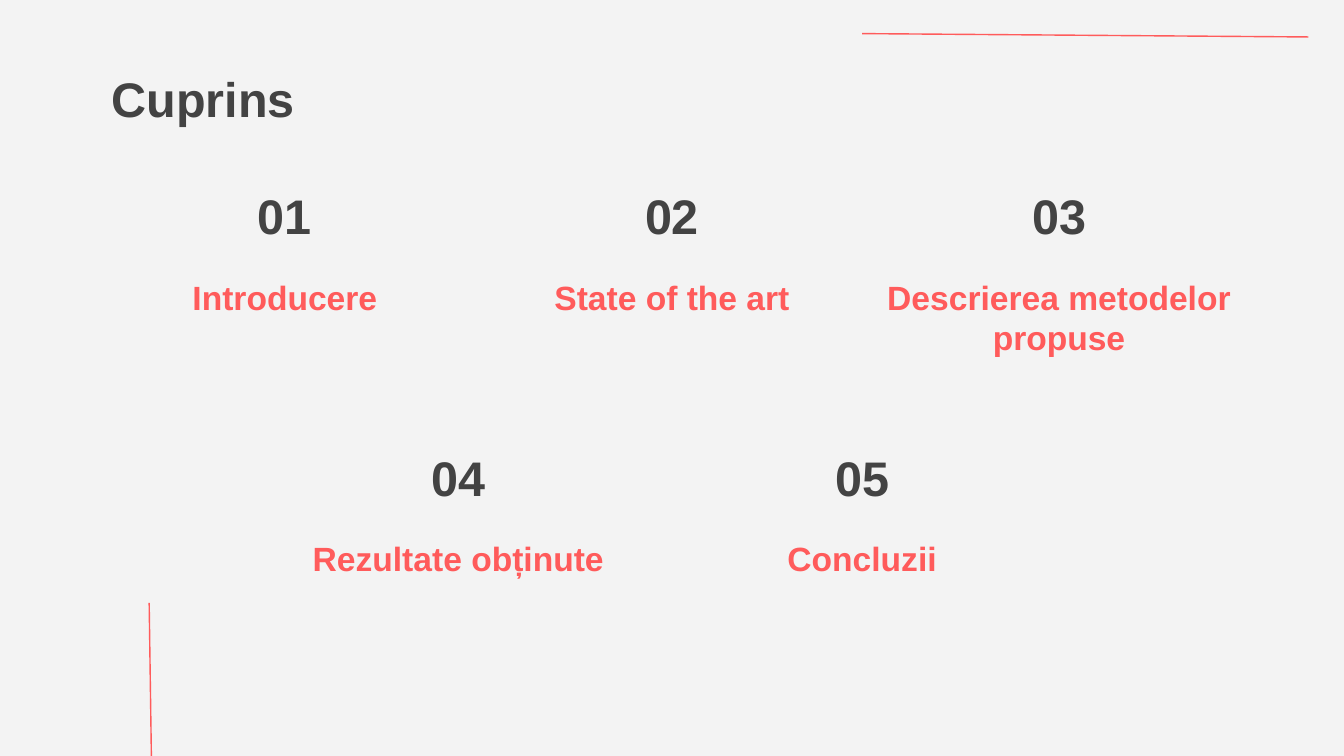
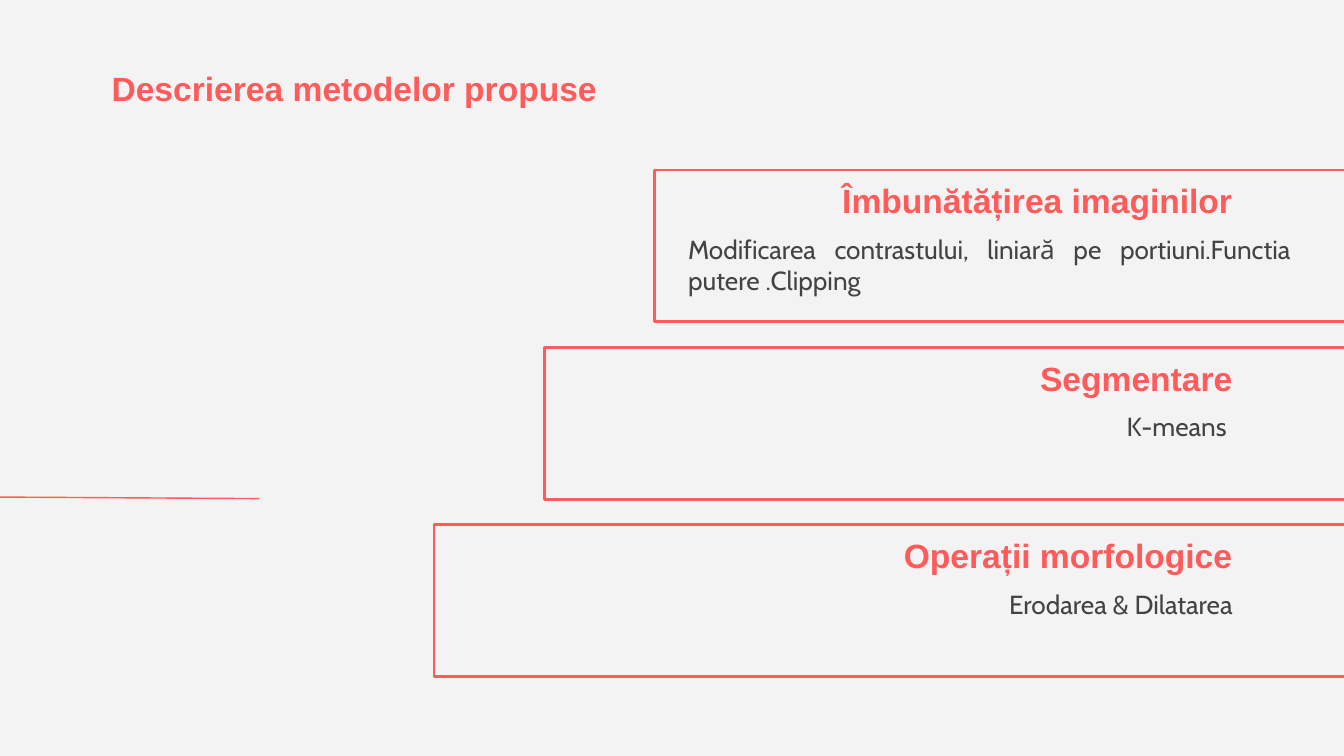
from lxml import etree
from pptx import Presentation
from pptx import util as u
from pptx.dml.color import RGBColor
from pptx.enum import shapes, text
from pptx.oxml.ns import qn

# Content
AGENDA_TITLE = "Cuprins"
AGENDA_ROWS = [
    ["Introducere", "State of the art", "Descrierea metodelor propuse"],
    ["Rezultate obținute", "Concluzii"],
]
METHODS_TITLE = "Descrierea metodelor propuse"
METHODS = [
    ("Îmbunătățirea imaginilor",
     "Modificarea contrastului, liniară pe portiuni.Functia putere .Clipping"),
    ("Segmentare", "K-means "),
    ("Operații morfologice", "Erodarea & Dilatarea"),
]

# Shared look
WIDTH, HEIGHT = 20, 11.25
MARGIN = 1.66
PAPER, INK, CORAL = "F3F3F3", "434343", "FF5B5B"
# style: font, size, colour, bold
DISPLAY = ("Arial", 52, INK, True)
HEADING = ("Arial", 36, CORAL, True)
DETAIL = ("Cabin", 28, INK, False)
LEFT, CENTER, RIGHT, JUSTIFY = (text.PP_ALIGN.LEFT, text.PP_ALIGN.CENTER,
                                text.PP_ALIGN.RIGHT, text.PP_ALIGN.JUSTIFY)


def color(hex_code):
    return RGBColor.from_string(hex_code)


def place(shape, left, top, width, height):
    shape.left, shape.top = u.Inches(left), u.Inches(top)
    shape.width, shape.height = u.Inches(width), u.Inches(height)


def write(shape, words, style, align):
    font_name, size, ink, bold = style
    frame = shape.text_frame
    frame.text = words
    frame.word_wrap = True
    frame.auto_size = text.MSO_AUTO_SIZE.NONE
    frame.vertical_anchor = text.MSO_ANCHOR.TOP
    frame.margin_left = frame.margin_right = 0
    frame.margin_top = frame.margin_bottom = 0
    paragraph = frame.paragraphs[0]
    paragraph.alignment = align
    paragraph.space_before = u.Pt(0)
    paragraph.line_spacing = u.Pt(size * 1.2)
    font = paragraph.font
    font.name, font.size, font.bold = font_name, u.Pt(size), bold
    font.color.rgb = color(ink)


def add_text(slide, words, box, style, align):
    write(slide.shapes.add_textbox(*map(u.Inches, box)), words, style, align)


def add_rule(slide, *ends):
    rule = slide.shapes.add_connector(shapes.MSO_CONNECTOR.STRAIGHT, *map(u.Inches, ends))
    rule.line.color.rgb = color(CORAL)
    rule.line.width = u.Pt(1.5)
    etree.SubElement(rule._element.spPr, qn("a:effectLst"))


def add_titled_slide(deck, title, box, style):
    slide = deck.slides.add_slide(deck.slide_layouts.get_by_name("Title Only"))
    place(slide.shapes.title, *box)
    write(slide.shapes.title, title, style, LEFT)
    return slide


def build_agenda(deck):
    slide = add_titled_slide(deck, AGENDA_TITLE,
                             (MARGIN, 1.02, WIDTH - 2 * MARGIN, 0.89), DISPLAY)
    add_rule(slide, 2.22, 8.97, 2.27, 12.43)
    add_rule(slide, 12.83, 0.5, 19.47, 0.55)

    # Each row: centre of its first column and step to the next
    columns = [(4.24, 5.76), (6.82, 6.01)]
    label_width, number_width = 5.16, 2.17
    first_top, row_step, label_drop = 2.77, 3.89, 1.35
    number = 0
    for row, (labels, (first, step)) in enumerate(zip(AGENDA_ROWS, columns)):
        top = first_top + row * row_step
        for column, label in enumerate(labels):
            number += 1
            center = first + column * step
            add_text(slide, f"{number:02}",
                     (center - number_width / 2, top, number_width, 1.15), DISPLAY, CENTER)
            add_text(slide, label,
                     (center - label_width / 2, top + label_drop, label_width, 1.22),
                     HEADING, CENTER)


def build_methods(deck):
    slide = add_titled_slide(deck, METHODS_TITLE, (MARGIN, 1.01, 8.24, 0.62), HEADING)
    add_rule(slide, -2.79, 7.38, 3.86, 7.42)

    # Frames widen leftwards and run past the right edge
    frame_right, frame_height = 20.29, 2.26
    text_width = 6.2
    text_left = WIDTH - MARGIN - text_width
    for step, (method, detail) in enumerate(METHODS):
        left, top = 9.74 - step * 1.64, 2.53 + step * 2.64
        frame = slide.shapes.add_shape(
            shapes.MSO_SHAPE.RECTANGLE,
            *map(u.Inches, (left, top, frame_right - left, frame_height)))
        frame.shadow.inherit = False
        frame.fill.background()
        frame.line.color.rgb = color(CORAL)
        frame.line.width = u.Pt(3)
        add_text(slide, method, (text_left, top + 0.15, text_width, 0.62), HEADING, RIGHT)
        # The first, longer detail fills its frame
        if step == 0:
            box, align = (left + 0.5, top + 0.94, 8.96, 0.91), JUSTIFY
        else:
            box, align = (text_left, top + 0.94, text_width, 0.45), RIGHT
        add_text(slide, detail, box, DETAIL, align)


def main():
    deck = Presentation()
    deck.slide_width, deck.slide_height = u.Inches(WIDTH), u.Inches(HEIGHT)
    backdrop = deck.slide_master.background.fill
    backdrop.solid()
    backdrop.fore_color.rgb = color(PAPER)
    build_agenda(deck)
    build_methods(deck)
    deck.save("out.pptx")


if __name__ == "__main__":
    main()
